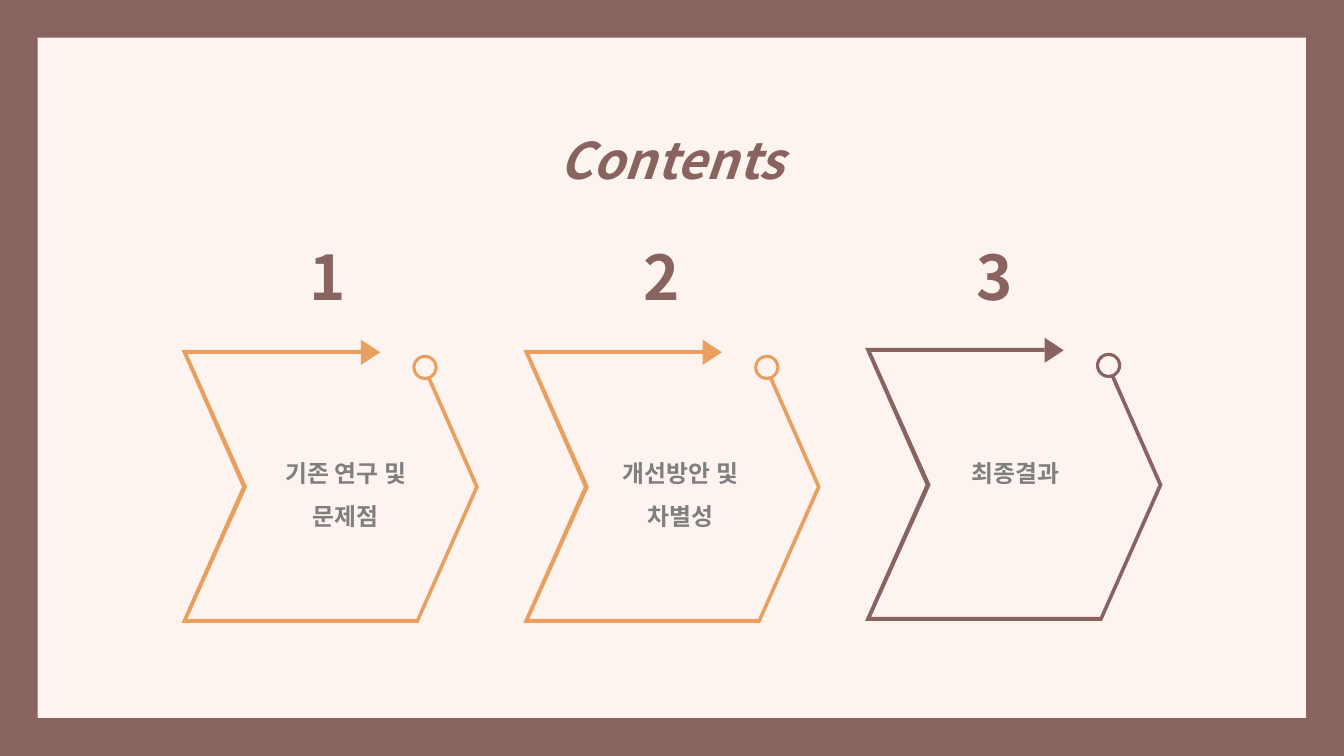
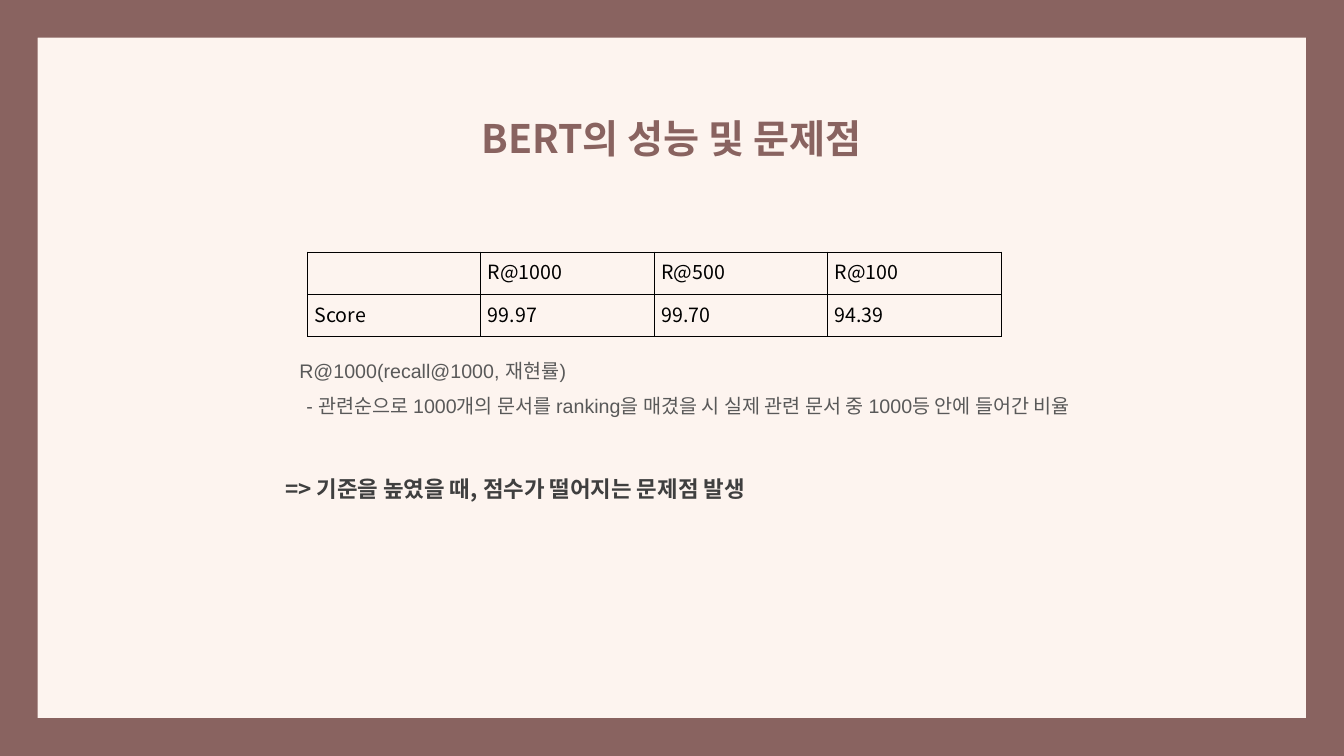
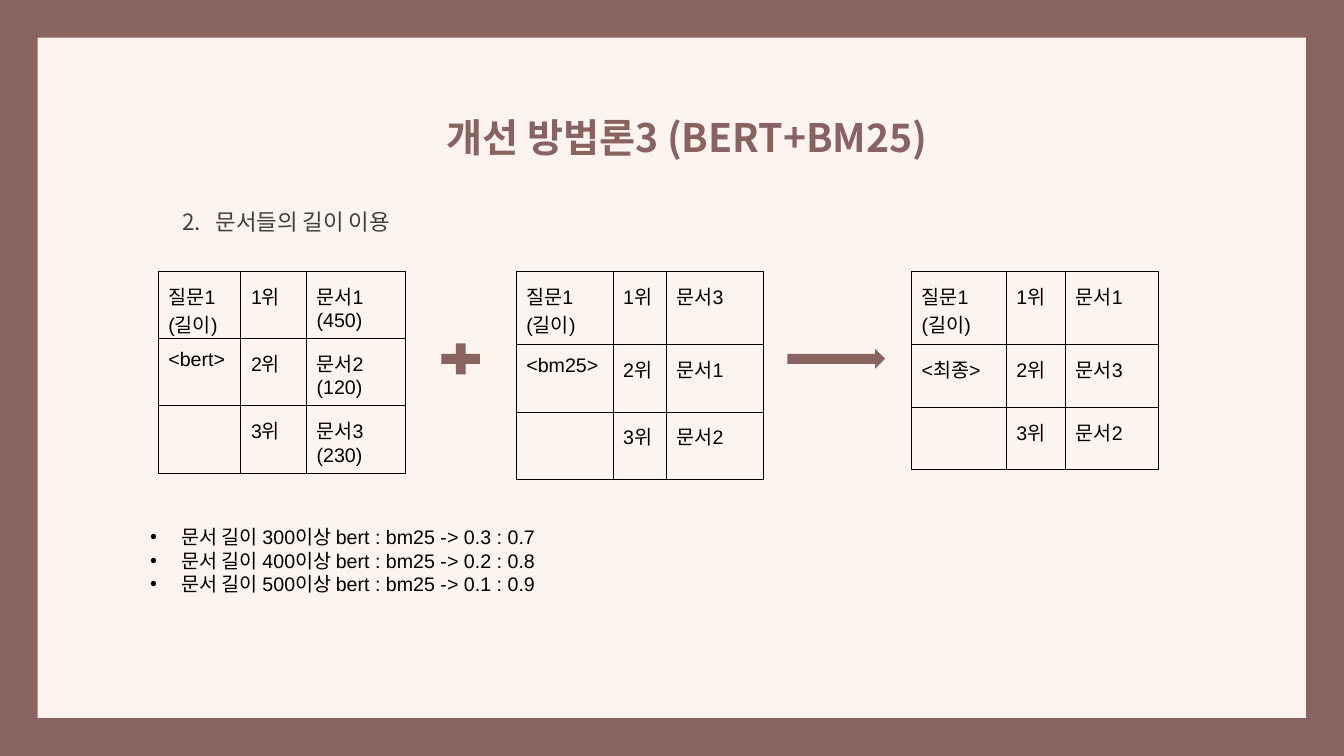
from lxml.etree import SubElement
from pptx import Presentation
from pptx.dml.color import RGBColor
from pptx.enum.shapes import MSO_SHAPE
from pptx.enum.text import PP_ALIGN
from pptx.oxml.ns import qn
from pptx.util import Pt

PX = 9144  # 100 px to the inch
WIDTH, HEIGHT = 1333, 750
BROWN, ORANGE, CREAM = "896360", "E99F60", "FDF4EF"
BLACK, DARK, MID, GRAY = "000000", "3F3F3F", "595959", "7F7F7F"
NOTO, ARIAL = "Noto Sans CJK KR", "Arial"


def place(page, box, preset=None, color=None):
    """Add a filled preset shape, or a wrapping text box when no preset is given."""
    lengths = [length * PX for length in box]
    if preset is None:
        shape = page.shapes.add_textbox(*lengths)
        shape.text_frame.word_wrap = True
        return shape
    shape = page.shapes.add_shape(preset, *lengths)
    shape.shadow.inherit = False
    shape.fill.solid()
    shape.fill.fore_color.rgb = RGBColor.from_string(color)
    shape.line.fill.background()
    return shape


def write(frame, lines, size, color, font=NOTO, bold=False, italic=False,
          align=PP_ALIGN.LEFT, spacing=1.0, before=0, margin=0, indent=0, bullet=None):
    """Write one paragraph per line; before is the space above later ones."""
    for index, line in enumerate(lines):
        para = frame.paragraphs[0] if index == 0 else frame.add_paragraph()
        properties = para._p.get_or_add_pPr()
        properties.set("marL", str(margin * PX))
        properties.set("indent", str(indent * PX))
        if bullet:
            SubElement(properties, qn("a:buFont"), typeface=ARIAL)
            SubElement(properties, qn("a:buChar"), char=bullet)
        para.alignment = align
        para.line_spacing = spacing
        if index and before:
            para.space_before = Pt(before)
        span = para.add_run()
        span.text = line
        span.font.size = Pt(size)
        span.font.bold = bold
        span.font.italic = italic
        span.font.color.rgb = RGBColor.from_string(color)
        span.font.name = font
        SubElement(span._r.get_or_add_rPr(), qn("a:ea"), typeface=NOTO)


deck = Presentation()
deck.slide_width, deck.slide_height = WIDTH * PX, HEIGHT * PX
background = deck.slide_master.background.fill
background.solid()
background.fore_color.rgb = RGBColor.from_string(CREAM)

# Pages with their border and title
titles = [
    ("Contents", (374, 93, 584, 89), 36, True),
    ("BERT의 성능 및 문제점", (374, 85, 584, 67), 28, False),
    ("개선 방법론3 (BERT+BM25)", (350, 84, 662, 67), 28, False),
]
pages = []
for title, box, size, italic in titles:
    page = deck.slides.add_slide(deck.slide_layouts[6])
    border = place(page, (0, 0, WIDTH, HEIGHT), MSO_SHAPE.FRAME, BROWN)
    border.adjustments[0] = 0.05
    write(place(page, box).text_frame, [title], size, BROWN, bold=True,
          italic=italic, align=PP_ALIGN.CENTER, spacing=1.5)
    pages.append(page)
contents, performance, method = pages

# Contents: three numbered chevrons
CHEVRON = [(0, 0), (178, 0), (178, 4), (6, 4), (65, 136), (6, 267), (233, 267),
           (291, 136), (243, 27), (247, 27), (295, 136), (235, 271), (0, 271), (60, 136)]
chapters = [
    (["기존 연구 및", "문제점"], ORANGE, 347),
    (["개선방안 및", "차별성"], ORANGE, 347),
    (["최종결과"], BROWN, 345),
]
for index, (label, color, top) in enumerate(chapters):
    left = 180 + 339 * index
    points = [(left + x, top + y) for x, y in CHEVRON]
    builder = contents.shapes.build_freeform(*points[0], scale=PX)
    builder.add_line_segments(points[1:], close=True)
    chevron = builder.convert_to_shape()
    chevron.shadow.inherit = False
    chevron.fill.solid()
    chevron.fill.fore_color.rgb = RGBColor.from_string(color)
    chevron.line.fill.background()
    tip = place(contents, (left + 175, top - 7, 25, 19), MSO_SHAPE.ISOSCELES_TRIANGLE, color)
    tip.rotation = 90
    ring = place(contents, (left + 229, top + 5, 25, 25), MSO_SHAPE.DONUT, color)
    ring.adjustments[0] = 0.117
    write(place(contents, (244 + 332 * index, 436, 198, 96)).text_frame, label, 17, GRAY,
          bold=True, align=PP_ALIGN.CENTER, spacing=1.5)
    write(place(contents, (297 + 331 * index, 232, 60, 84)).text_frame,
          [str(index + 1)], 44, BROWN, bold=True)

# Performance: notes below the score table
write(place(performance, (287, 351, 886, 34)).text_frame,
      ["R@1000(recall@1000, 재현률)",
       "- 관련순으로 1000개의 문서를 ranking을 매겼을 시 실제 관련 문서 중 1000등 안에 들어간 비율"],
      14, MID, font=ARIAL, before=8)
performance.shapes[-1].text_frame.paragraphs[1]._p.pPr.set("indent", str(7 * PX))
write(place(performance, (273, 466, 606, 37)).text_frame,
      ["=> 기준을 높였을 때, 점수가 떨어지는 문제점 발생"], 16, DARK, bold=True)

# Method: heading, operators and weights around the ranking tables
write(place(method, (157, 188, 1047, 50)).text_frame, ["2.\t문서들의 길이 이용"],
      16, DARK, spacing=1.5, margin=47, indent=-33)
place(method, (431, 335, 52, 42), MSO_SHAPE.MATH_PLUS, BROWN)
place(method, (781, 346, 97, 20), MSO_SHAPE.RIGHT_ARROW, BROWN)
weights = [(300, "0.3 : 0.7"), (400, "0.2 : 0.8"), (500, "0.1 : 0.9")]
write(place(method, (139, 516, 493, 81)).text_frame,
      [f"문서 길이 {length}이상 bert : bm25 -> {ratio}" for length, ratio in weights],
      14, BLACK, font=ARIAL, margin=31, indent=-31, bullet="•")

# Tables: page, left, top, column widths, row heights, font, (side, top) margins, rows
tables = [
    (performance, 305, 250, [172] * 4, [42, 42], NOTO, (7, 5),
     [["", "R@1000", "R@500", "R@100"], ["Score", "99.97", "99.70", "94.39"]]),
    (method, 157, 269, [82, 65, 98], [56, 56, 56], ARIAL, (10, 10),
     [["질문1\n(길이)", "1위", "문서1\n(450)"],
      ["<bert>", "2위", "문서2\n(120)"],
      ["", "3위", "문서3\n(230)"]]),
    (method, 512, 269, [96, 53, 96], [73, 62, 62], ARIAL, (10, 10),
     [["질문1\n(길이)", "1위", "문서3"], ["<bm25>", "2위", "문서1"], ["", "3위", "문서2"]]),
    (method, 904, 269, [94, 59, 92], [73, 62, 62], ARIAL, (10, 10),
     [["질문1\n(길이)", "1위", "문서1"], ["<최종>", "2위", "문서3"], ["", "3위", "문서2"]]),
]
for page, left, top, widths, heights, font, (side, edge), rows in tables:
    table = page.shapes.add_table(len(rows), len(widths), left * PX, top * PX,
                                  sum(widths) * PX, sum(heights) * PX).table
    table.first_row = table.horz_banding = False
    for column, width in zip(table.columns, widths):
        column.width = width * PX
    for row, height, texts in zip(table.rows, heights, rows):
        row.height = height * PX
        for cell, text in zip(row.cells, texts):
            cell.margin_left = cell.margin_right = side * PX
            cell.margin_top = cell.margin_bottom = edge * PX
            write(cell.text_frame, text.split("\n"), 14, BLACK, font=font)
            properties = cell._tc.get_or_add_tcPr()
            for border_tag in ("a:lnL", "a:lnR", "a:lnT", "a:lnB"):
                line = SubElement(properties, qn(border_tag), w=str(Pt(0.75)))
                SubElement(SubElement(line, qn("a:solidFill")), qn("a:srgbClr"), val=BLACK)
            cell.fill.background()

deck.save("out.pptx")
